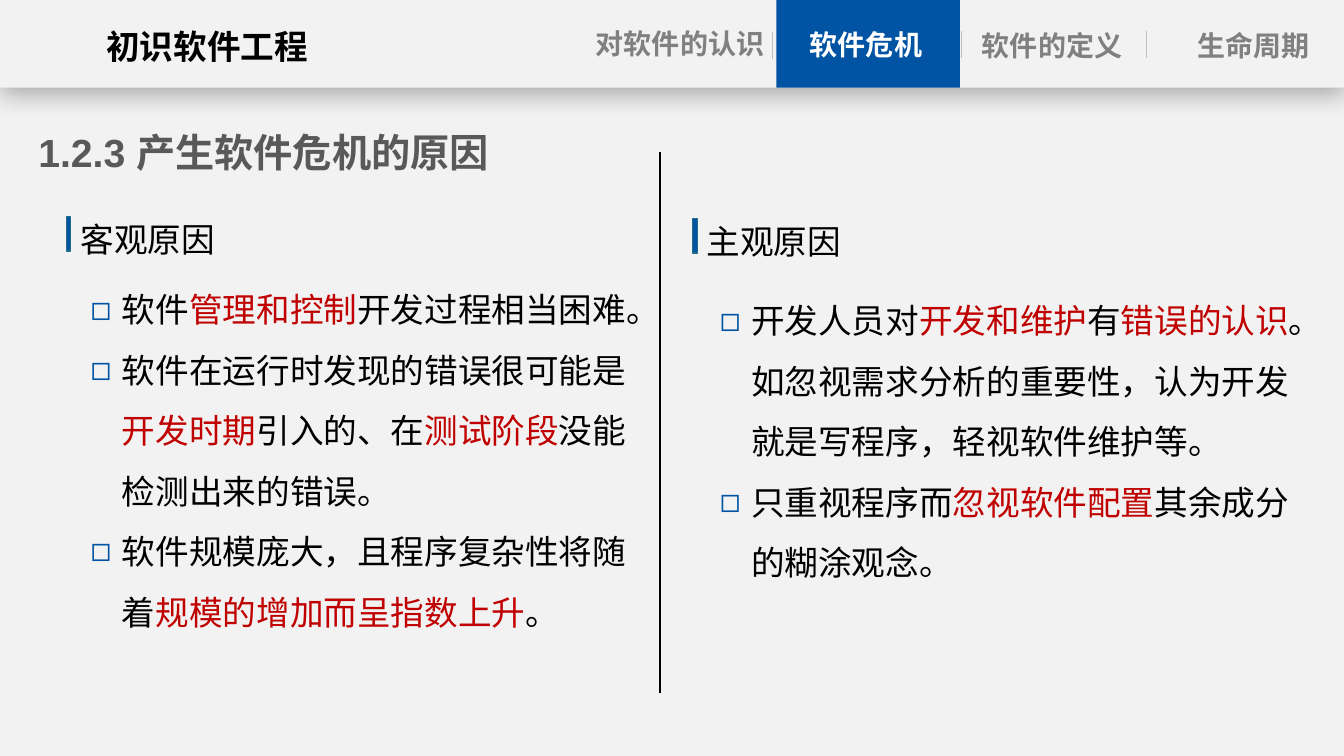
from dataclasses import dataclass

from lxml import etree
from pptx import Presentation
from pptx import util as u
from pptx.dml.color import RGBColor
from pptx.enum import shapes, text
from pptx.oxml import ns


@dataclass(frozen=True)
class Theme:
    font: str = "Arial"
    paper: str = "F2F2F2"
    ink: str = "000000"
    accent: str = "0054A3"
    bar_edge: str = "266D8A"
    emphasis: str = "C00000"
    title: str = "595959"
    tab: str = "808080"
    tab_active: str = "FFFFFF"
    separator: str = "BFBFBF"
    title_size: int = 28
    body_size: int = 24
    tab_size: int = 20


class SlideBuilder:
    def __init__(self, presentation, theme):
        self.theme = theme
        self.slide = presentation.slides.add_slide(presentation.slide_layouts[4])
        fill = self.slide.background.fill
        fill.solid()
        fill.fore_color.rgb = RGBColor.from_string(theme.paper)

    def add_run(self, paragraph, words, size, color, bold=False):
        run = paragraph.add_run()
        run.text = words
        font = run.font
        font.name, font.size, font.bold = self.theme.font, u.Pt(size), bold
        font.color.rgb = RGBColor.from_string(color)

    def prepare_frame(self, shape, side_inset):
        frame = shape.text_frame
        frame.word_wrap = True
        frame.auto_size = text.MSO_AUTO_SIZE.NONE
        frame.vertical_anchor = text.MSO_ANCHOR.TOP
        frame.margin_left = frame.margin_right = u.Inches(side_inset)
        frame.margin_top = frame.margin_bottom = u.Inches(0.05)
        return frame

    def placeholder(self, index, left, top, width, height, side_inset=0.1):
        """Move a layout placeholder and return its text frame."""
        shape = self.slide.placeholders[index]
        shape.left, shape.top = u.Inches(left), u.Inches(top)
        shape.width, shape.height = u.Inches(width), u.Inches(height)
        return self.prepare_frame(shape, side_inset)

    def title(self, words, *box):
        paragraph = self.placeholder(0, *box, side_inset=0).paragraphs[0]
        paragraph.alignment = text.PP_ALIGN.LEFT
        self.add_run(paragraph, words, self.theme.title_size, self.theme.title, True)

    def heading(self, index, words, *box):
        paragraph = self.placeholder(index, *box).paragraphs[0]
        paragraph.space_before = u.Pt(0)
        self.add_run(paragraph, words, self.theme.body_size, self.theme.ink)

    def bullet_list(self, index, items, *box):
        """Fill a body placeholder; every second part of an item is emphasised."""
        frame = self.placeholder(index, *box)
        for number, parts in enumerate(items):
            paragraph = frame.add_paragraph() if number else frame.paragraphs[0]
            self.add_bullet(paragraph)
            paragraph.line_spacing = 1.5
            paragraph.space_before = u.Pt(0)
            for position, words in enumerate(parts):
                color = self.theme.emphasis if position % 2 else self.theme.ink
                self.add_run(paragraph, words, self.theme.body_size, color)

    def add_bullet(self, paragraph):
        properties = paragraph._p.get_or_add_pPr()
        properties.set("marL", str(u.Inches(0.31)))
        properties.set("indent", str(u.Inches(-0.31)))
        color = etree.SubElement(properties, ns.qn("a:buClr"))
        etree.SubElement(color, ns.qn("a:srgbClr"), val=self.theme.accent)
        etree.SubElement(properties, ns.qn("a:buFont"), typeface=self.theme.font)
        etree.SubElement(properties, ns.qn("a:buChar"), char="◻")

    def label(self, words, size, color, left, top, width, height):
        shape = self.slide.shapes.add_textbox(
            u.Inches(left), u.Inches(top), u.Inches(width), u.Inches(height))
        paragraph = self.prepare_frame(shape, 0).paragraphs[0]
        paragraph.alignment = text.PP_ALIGN.CENTER
        self.add_run(paragraph, words, size, color, True)

    def rectangle(self, color, left, top, width, height, edge=None):
        shape = self.slide.shapes.add_shape(
            shapes.MSO_SHAPE.RECTANGLE,
            u.Inches(left), u.Inches(top), u.Inches(width), u.Inches(height))
        shape.shadow.inherit = False
        shape.fill.solid()
        shape.fill.fore_color.rgb = RGBColor.from_string(color)
        if edge:
            shape.line.color.rgb = RGBColor.from_string(edge)
            shape.line.width = u.Pt(1)
        else:
            shape.line.fill.background()
        return shape

    def header_band(self, height):
        band = self.rectangle(self.theme.paper, 0, 0, 13.33, height)
        effects = band._element.spPr.find(ns.qn("a:effectLst"))
        shadow = etree.SubElement(
            effects, ns.qn("a:outerShdw"), blurRad=str(u.Pt(18)),
            dist=str(u.Pt(4)), dir="5400000", algn="t", rotWithShape="0")
        color = etree.SubElement(shadow, ns.qn("a:srgbClr"), val=self.theme.ink)
        etree.SubElement(color, ns.qn("a:alpha"), val="29000")

    def vertical_line(self, x, top, bottom, color, weight):
        line = self.slide.shapes.add_connector(
            shapes.MSO_CONNECTOR.STRAIGHT,
            u.Inches(x), u.Inches(top), u.Inches(x), u.Inches(bottom))
        line.line.color.rgb = RGBColor.from_string(color)
        line.line.width = u.Pt(weight)
        etree.SubElement(line._element.spPr, ns.qn("a:effectLst"))


OBJECTIVE_CAUSES = [
    ["软件", "管理和控制", "开发过程相当困难。"],
    ["软件在运行时发现的错误很可能是", "开发时期", "引入的、在", "测试阶段",
     "没能检测出来的错误。"],
    ["软件规模庞大，且程序复杂性将随着", "规模的增加而呈指数上升", "。"],
]
SUBJECTIVE_CAUSES = [
    ["开发人员对", "开发和维护", "有", "错误的认识",
     "。如忽视需求分析的重要性，认为开发就是写程序，轻视软件维护等。"],
    ["只重视程序而", "忽视软件配置", "其余成分的糊涂观念。"],
]
TABS = [
    ("对软件的认识", 5.9, 0.21, 1.69),
    ("软件危机", 7.71, 0.22, 1.76),
    ("软件的定义", 9.7, 0.23, 1.47),
    ("生命周期", 11.7, 0.23, 1.47),
]
ACTIVE_TAB = "软件危机"
SEPARATORS = [(7.66, 0.32), (9.53, 0.31), (11.37, 0.31)]


def main():
    presentation = Presentation()
    presentation.slide_width = u.Inches(13.33)
    presentation.slide_height = u.Inches(7.5)
    theme = Theme()
    builder = SlideBuilder(presentation, theme)

    builder.title("1.2.3 产生软件危机的原因", 0.38, 1.22, 5.25, 0.57)
    builder.heading(1, "客观原因", 0.7, 2.12, 3.36, 0.5)
    builder.bullet_list(2, OBJECTIVE_CAUSES, 0.8, 2.62, 5.62, 3.66)
    builder.heading(3, "主观原因", 6.91, 2.14, 6.39, 0.5)
    builder.bullet_list(4, SUBJECTIVE_CAUSES, 7.04, 2.73, 6.13, 3.05)
    for left, top, width in [(0.66, 2.15, 0.04), (6.87, 2.17, 0.05)]:
        builder.rectangle(theme.accent, left, top, width, 0.34, theme.bar_edge)
    builder.vertical_line(6.55, 1.51, 6.88, theme.ink, 1.5)

    builder.header_band(0.87)
    builder.rectangle(theme.accent, 7.7, 0, 1.82, 0.87)
    builder.label("初识软件工程", theme.body_size, theme.ink, 0.86, 0.21, 2.39, 0.51)
    for words, left, top, width in TABS:
        color = theme.tab_active if words == ACTIVE_TAB else theme.tab
        builder.label(words, theme.tab_size, color, left, top, width, 0.44)
    for x, top in SEPARATORS:
        builder.vertical_line(x, top, top + 0.27, theme.separator, 0.5)

    presentation.save("out.pptx")


if __name__ == "__main__":
    main()
